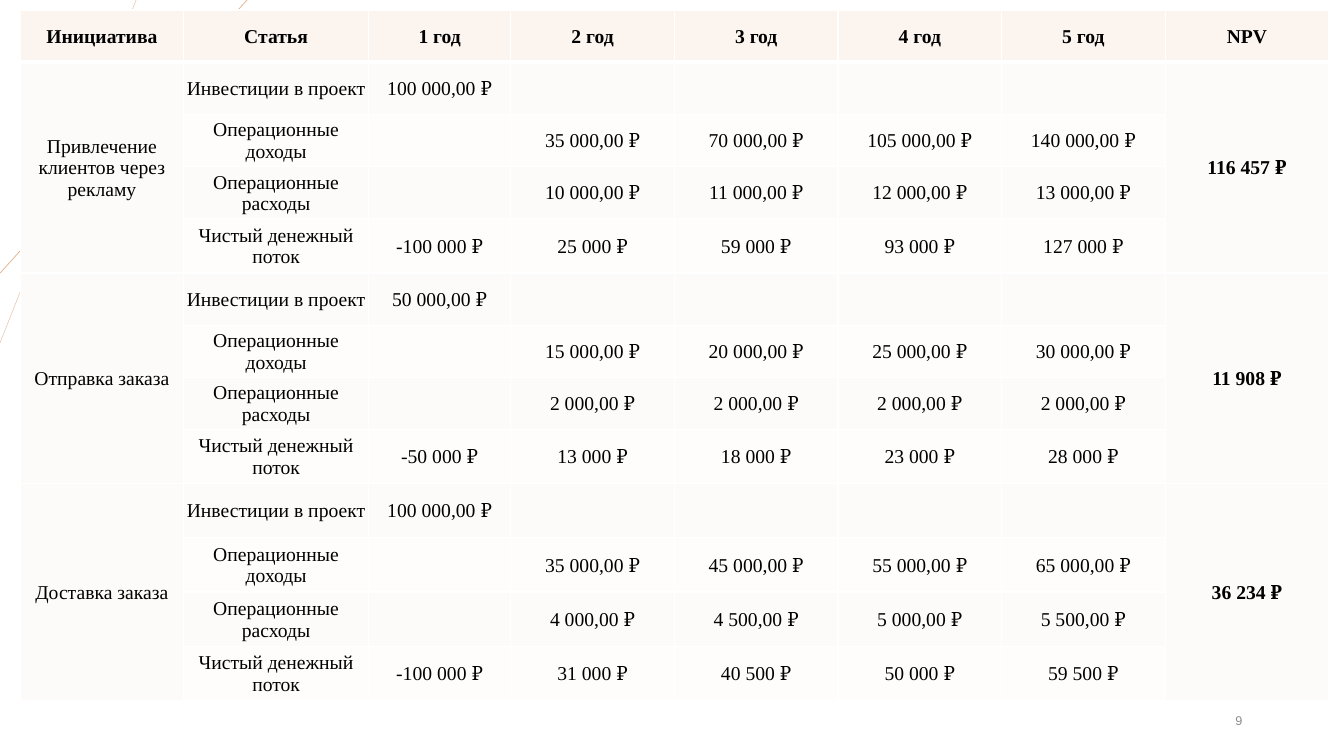
from dataclasses import dataclass

from lxml import etree
from pptx import Presentation
from pptx.dml.color import RGBColor
from pptx.enum.shapes import MSO_CONNECTOR
from pptx.enum.text import MSO_ANCHOR, PP_ALIGN
from pptx.oxml.ns import qn
from pptx.util import Inches, Pt

STRAIGHT = MSO_CONNECTOR.STRAIGHT
MIDDLE = MSO_ANCHOR.MIDDLE
CENTER = PP_ALIGN.CENTER
RIGHT = PP_ALIGN.RIGHT


@dataclass(frozen=True)
class Theme:
    table_font: str = "Times New Roman"
    number_font: str = "Arial"
    table_size: float = 14
    number_size: float = 9
    text: str = "000000"
    muted: str = "8C8C8C"
    accent: str = "E2B18D"
    header_fill: str = "FBF4EF"
    odd_fill: str = "FDFBF9"
    even_fill: str = "FEFDFC"
    border: str = "FFFFFF"
    thin: float = 1
    thick: float = 3


THEME = Theme()
HEADERS = ["Инициатива", "Статья", "1 год", "2 год", "3 год", "4 год", "5 год", "NPV"]
COLUMN_WIDTHS = [1.62, 1.83, 1.41] + [1.62] * 5
ROW_HEIGHTS = [0.52] * 4 + [0.54] + [0.52] * 3 + [0.54] * 5
ITEMS_PER_INITIATIVE = 4
CELL_FORMAT = {
    "vertical_anchor": MIDDLE,
    "margin_left": Inches(0.01),
    "margin_right": Inches(0.01),
    "margin_top": Inches(0.01),
    "margin_bottom": 0,
}
INITIATIVES = [
    ("Привлечение клиентов через рекламу", 100000,
     [35000, 70000, 105000, 140000], [10000, 11000, 12000, 13000], 116457),
    ("Отправка заказа", 50000,
     [15000, 20000, 25000, 30000], [2000, 2000, 2000, 2000], 11908),
    ("Доставка заказа", 100000,
     [35000, 45000, 55000, 65000], [4000, 4500, 5000, 5500], 36234),
]


def rubles(amount, decimals=0):
    return f"{amount:,.{decimals}f}".replace(",", " ").replace(".", ",") + " ₽"


def initiative_rows(name, investment, incomes, costs, npv):
    net_flow = [-investment] + [income - cost for income, cost in zip(incomes, costs)]
    return [
        [name, "Инвестиции в проект", rubles(investment, 2), "", "", "", "", rubles(npv)],
        ["", "Операционные доходы", ""] + [rubles(income, 2) for income in incomes] + [""],
        ["", "Операционные расходы", ""] + [rubles(cost, 2) for cost in costs] + [""],
        ["", "Чистый денежный поток"] + [rubles(flow) for flow in net_flow] + [""],
    ]


def apply_format(target, values):
    for attribute, value in values.items():
        setattr(target, attribute, value)


def write_text(frame, text, alignment, font, size, color, bold=False):
    paragraph = frame.paragraphs[0]
    paragraph.alignment = alignment
    run = paragraph.add_run()
    run.text = text
    apply_format(run.font, {"name": font, "size": Pt(size), "bold": bold})
    run.font.color.rgb = RGBColor.from_string(color)


def set_borders(cell, widths):
    properties = cell._tc.get_or_add_tcPr()
    for position, (side, width) in enumerate(widths.items()):
        line = etree.Element(qn(f"a:{side}"), w=str(Pt(width)))
        fill = etree.SubElement(line, qn("a:solidFill"))
        etree.SubElement(fill, qn("a:srgbClr"), val=THEME.border)
        properties.insert(position, line)


def row_fill(row, column):
    if row == 0:
        return THEME.header_fill
    outer = column in (0, len(HEADERS) - 1)
    return THEME.odd_fill if outer or row % 2 else THEME.even_fill


def format_cell(cell, text, row, column):
    apply_format(cell, CELL_FORMAT)
    cell.fill.solid()
    cell.fill.fore_color.rgb = RGBColor.from_string(row_fill(row, column))
    set_borders(cell, {
        "lnL": THEME.thin,
        "lnR": THEME.thin,
        "lnT": THEME.thick if row == 1 else THEME.thin,
        "lnB": THEME.thick if row == 0 else THEME.thin,
    })
    if text:
        bold = row == 0 or column == len(HEADERS) - 1
        write_text(cell.text_frame, text, CENTER, THEME.table_font,
                   THEME.table_size, THEME.text, bold)


def add_cash_flow_table(slide, left, top, width, height):
    content = [HEADERS]
    for initiative in INITIATIVES:
        content += initiative_rows(*initiative)
    table = slide.shapes.add_table(
        len(content), len(HEADERS), Inches(left), Inches(top), Inches(width), Inches(height)
    ).table
    table.horz_banding = False
    for column, share in zip(table.columns, COLUMN_WIDTHS):
        column.width = Inches(share * width / sum(COLUMN_WIDTHS))
    for row, share in zip(table.rows, ROW_HEIGHTS):
        row.height = Inches(share * height / sum(ROW_HEIGHTS))
    for row, texts in enumerate(content):
        for column, text in enumerate(texts):
            format_cell(table.cell(row, column), text, row, column)
    for first in range(1, len(content), ITEMS_PER_INITIATIVE):
        for column in (0, len(HEADERS) - 1):
            last_cell = table.cell(first + ITEMS_PER_INITIATIVE - 1, column)
            table.cell(first, column).merge(last_cell)


def add_corner_rays(slide, left, top):
    for across, down, weight in [(1.35, 3.4, 0.25), (2.45, 2.71, 0.5)]:
        ray = slide.shapes.add_connector(
            STRAIGHT, Inches(left + across), Inches(top), Inches(left), Inches(top + down))
        ray.line.color.rgb = RGBColor.from_string(THEME.accent)
        ray.line.width = Pt(weight)
        etree.SubElement(ray._element.spPr, qn("a:effectLst"))


def add_page_number(slide, left, top, width, height):
    page_number = slide.shapes.add_textbox(
        Inches(left), Inches(top), Inches(width), Inches(height)).text_frame
    apply_format(page_number, {"word_wrap": True, "vertical_anchor": MIDDLE})
    write_text(page_number, "9", RIGHT, THEME.number_font, THEME.number_size, THEME.muted)


def build_cash_flow_slide(deck):
    slide = deck.slides.add_slide(deck.slide_layouts[6])
    add_corner_rays(slide, 0, 0)
    add_page_number(slide, 9.42, 6.95, 3, 0.4)
    add_cash_flow_table(slide, 0.2, 0.1, 12.98, 6.85)


def main():
    deck = Presentation()
    apply_format(deck, {"slide_width": Inches(13.33), "slide_height": Inches(7.5)})
    build_cash_flow_slide(deck)
    deck.save("out.pptx")


if __name__ == "__main__":
    main()
